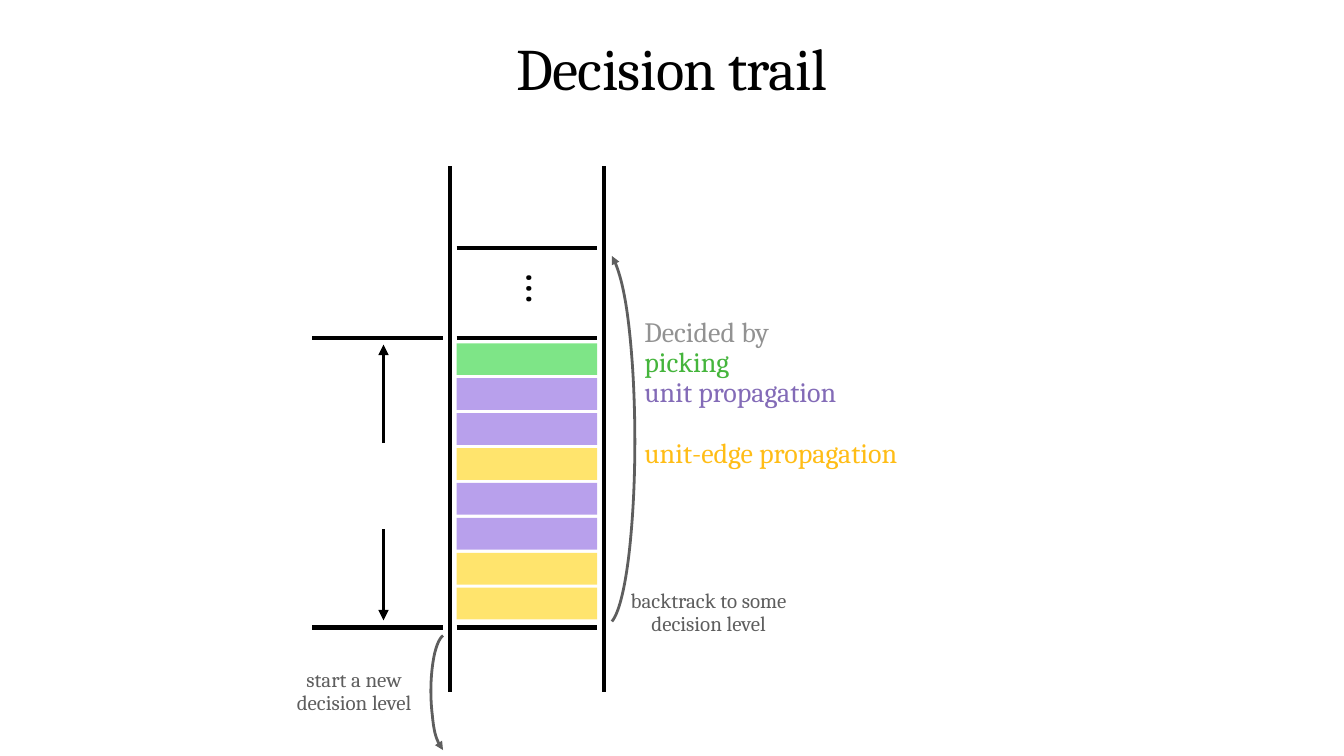
from pptx import Presentation
from pptx.dml.color import RGBColor
from pptx.enum.shapes import MSO_CONNECTOR, MSO_SHAPE
from pptx.enum.text import MSO_ANCHOR, MSO_AUTO_SIZE, PP_ALIGN
from pptx.oxml.ns import qn
from pptx.util import Cm, Pt
from lxml.etree import SubElement

FONT = "Cambria"
BLACK = RGBColor(0x00, 0x00, 0x00)
DARK = RGBColor(0x5E, 0x5E, 0x5E)
GRAY = RGBColor(0x92, 0x92, 0x92)
PICK = RGBColor(0x7E, 0xE5, 0x87)
UNIT = RGBColor(0xB8, 0xA0, 0xEC)
EDGE = RGBColor(0xFF, 0xE4, 0x6D)
PICK_TEXT = RGBColor(0x45, 0xB5, 0x3C)
UNIT_TEXT = RGBColor(0x83, 0x6B, 0xB7)
EDGE_TEXT = RGBColor(0xFF, 0xBD, 0x16)
TRAIL = [PICK, UNIT, UNIT, EDGE, UNIT, UNIT, EDGE, EDGE]
LEGEND = [("Decided by", GRAY, 0), ("picking", PICK_TEXT, 0),
          ("unit propagation", UNIT_TEXT, 0),
          ("unit-edge propagation", EDGE_TEXT, 43)]
BACKTRACK = [(0, 18.42), (0.4, 17.96), (0.76, 16.36), (0.96, 14.07),
             (1.21, 11.31), (1.21, 8.18), (1.04, 5.57),
             (0.86, 2.95), (0.5, 0.83), (0, 0)]
NEW_LEVEL = [(0.64, 0), (0.43, 0.15), (0.23, 0.66), (0.13, 1.37),
             (0, 2.23), (0, 3.2), (0.1, 4.01),
             (0.18, 4.85), (0.38, 5.51), (0.64, 5.77)]


def apply(obj, values):
    """Set every attribute named in a dict of format values."""
    for name, value in values.items():
        setattr(obj, name, value)


def style_line(sp, color, width, arrow):
    """Give a line its colour, width and optional arrowhead."""
    sp.line.color.rgb = color
    sp.line.width = Pt(width)
    if arrow:
        SubElement(sp.line._get_or_add_ln(), qn("a:tailEnd"), type="triangle")


def add_line(s, x1, y1, x2, y2, width=6, arrow=False):
    """Draw a straight black line between two points in centimetres."""
    sp = s.shapes.add_connector(MSO_CONNECTOR.STRAIGHT,
                                Cm(x1), Cm(y1), Cm(x2), Cm(y2))
    style_line(sp, BLACK, width, arrow)
    SubElement(sp._element.spPr, qn("a:effectLst"))


def add_curve(s, x, y, points):
    """Draw an arrow of joined cubic curves, its points relative to x, y."""
    pts = [(Cm(x + dx), Cm(y + dy)) for dx, dy in points]
    builder = s.shapes.build_freeform(*pts[0])
    builder.add_line_segments(pts[1:], close=False)
    sp = builder.convert_to_shape()
    sp.shadow.inherit = False
    sp.fill.background()
    style_line(sp, DARK, 4, True)
    segments = sp._element.xpath(".//a:lnTo")
    for i in range(0, len(segments), 3):
        curve = SubElement(segments[i].getparent(), qn("a:cubicBezTo"))
        for segment in segments[i:i + 3]:
            curve.append(segment[0])
            segment.getparent().remove(segment)


def add_text(s, box, paragraphs, size, align, wrap=True, anchor=MSO_ANCHOR.MIDDLE):
    """Place a text box holding (text, colour, space before) paragraphs."""
    tf = s.shapes.add_textbox(*map(Cm, box)).text_frame
    margins = dict.fromkeys(("margin_left", "margin_top", "margin_right",
                             "margin_bottom"), Cm(0.15))
    apply(tf, {"word_wrap": wrap, "vertical_anchor": anchor,
               "auto_size": MSO_AUTO_SIZE.SHAPE_TO_FIT_TEXT, **margins})
    for i, (text, color, before) in enumerate(paragraphs):
        p = tf.add_paragraph() if i else tf.paragraphs[0]
        apply(p, {"alignment": align, "line_spacing": 0.9})
        if before:
            p.space_before = Pt(before)
        r = p.add_run()
        r.text = text
        apply(r.font, {"name": FONT, "size": Pt(size)})
        r.font.color.rgb = color
    return tf


def add_title(s, x, y, w, h):
    """Move and format the title placeholder."""
    sp = s.shapes.title
    apply(sp, {"left": Cm(x), "top": Cm(y), "width": Cm(w), "height": Cm(h)})
    tf = sp.text_frame
    apply(tf, {"vertical_anchor": MSO_ANCHOR.TOP, "margin_top": Cm(0.15),
               "auto_size": MSO_AUTO_SIZE.NONE})
    p = tf.paragraphs[0]
    apply(p, {"alignment": PP_ALIGN.CENTER, "line_spacing": 0.8})
    r = p.add_run()
    r.text = "Decision trail"
    apply(r.font, {"name": FONT, "size": Pt(84)})
    r.font.color.rgb = BLACK
    r._r.get_or_add_rPr().set("spc", "-80")


def add_trail(s, x, y, w, h):
    """Draw the stack of decisions between two rails."""
    for rail in (x, x + w):
        add_line(s, rail, y + h, rail, y, 5)
    left, width = x + 0.33, 7.09
    for dy in (4.12, 8.66, 23.24):
        add_line(s, left, y + dy, left + width, y + dy)
    for i, color in enumerate(TRAIL):
        sp = s.shapes.add_shape(MSO_SHAPE.RECTANGLE, Cm(left),
                                Cm(y + 8.92 + 1.76 * i), Cm(width), Cm(1.6))
        sp.shadow.inherit = False
        sp.fill.solid()
        sp.fill.fore_color.rgb = color
        sp.line.fill.background()
    tf = add_text(s, (x + 3, y + 5.11, 3.2, 2.57), [("…", BLACK, 0)], 64,
                  PP_ALIGN.CENTER, wrap=False)
    tf._txBody.bodyPr.set("vert", "eaVert")


def add_level_span(s, x, y, w, h):
    """Mark the extent of one decision level with bars and arrows."""
    for bar in (y, y + h):
        add_line(s, x, bar, x + w, bar)
    mid = x + 3.58
    add_line(s, mid, y + 5.29, mid, y + 0.33, 5, True)
    add_line(s, mid, y + h - 4.95, mid, y + h - 0.35, 5, True)


def add_moves(s, x, y):
    """Draw the backtrack and new-level arrows with their labels."""
    add_curve(s, x + 8.16, y, BACKTRACK)
    add_curve(s, x - 0.99, y + 19.13, NEW_LEVEL)
    labels = [((x + 8.74, y + 15.93, 8.59, 4.14), "backtrack to some decision level"),
              ((x - 8.38, y + 19.92, 7.09, 4.14), "start a new decision level")]
    for box, text in labels:
        add_text(s, box, [(text, DARK, 0)], 30, PP_ALIGN.CENTER)


def main():
    """Build and save the slide."""
    prs = Presentation()
    apply(prs, {"slide_width": Cm(67.74), "slide_height": Cm(38.1)})
    s = prs.slides.add_slide(prs.slide_layouts[5])
    add_title(s, 3.38, 2.16, 60.96, 4.8)
    add_trail(s, 22.68, 8.38, 7.77, 26.47)
    add_level_span(s, 15.75, 17.04, 6.6, 14.58)
    add_moves(s, 22.68, 12.9)
    add_text(s, (32.33, 15.49, 16.18, 8.71), LEGEND, 40, PP_ALIGN.LEFT, wrap=False)
    prs.save("out.pptx")


if __name__ == "__main__":
    main()
